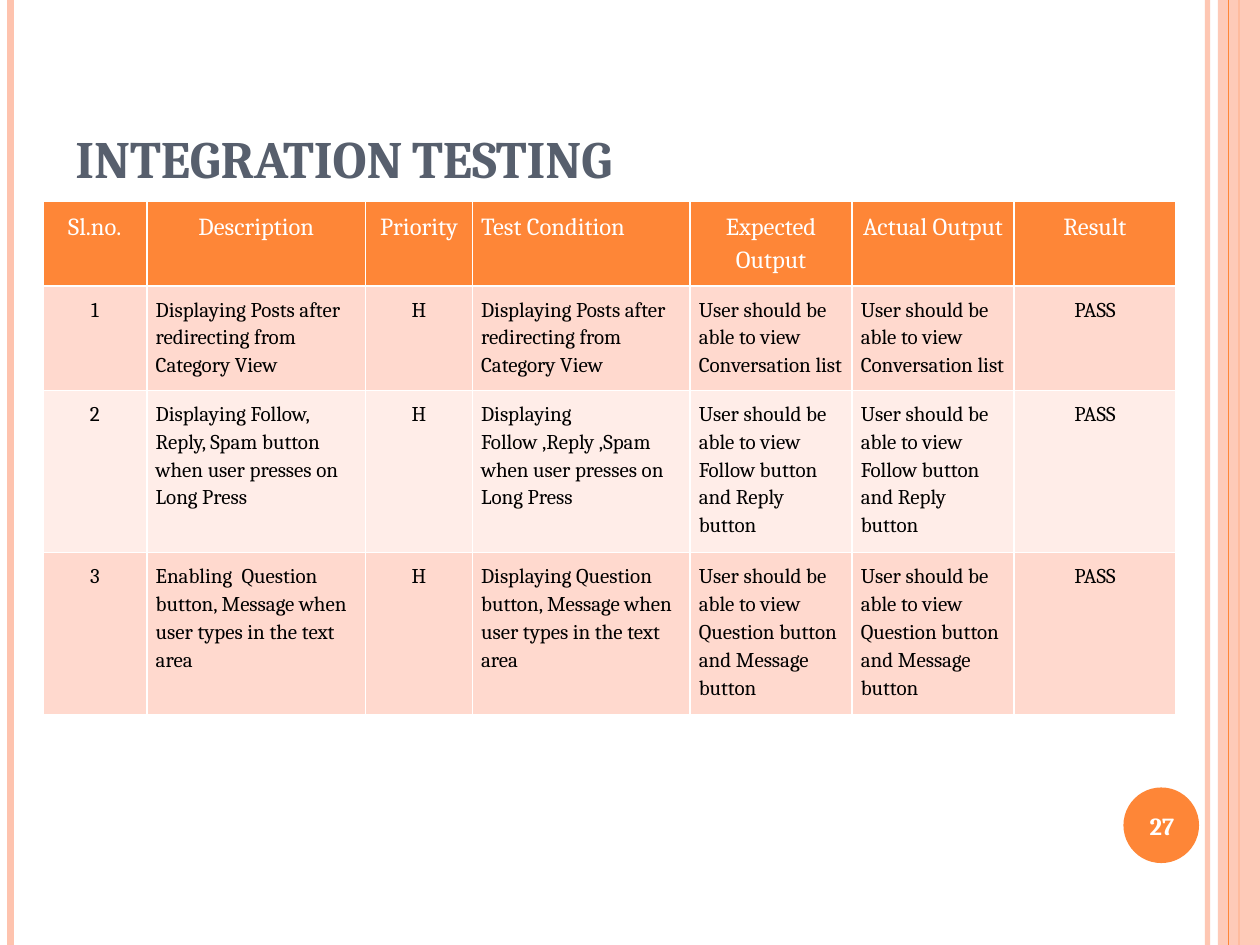
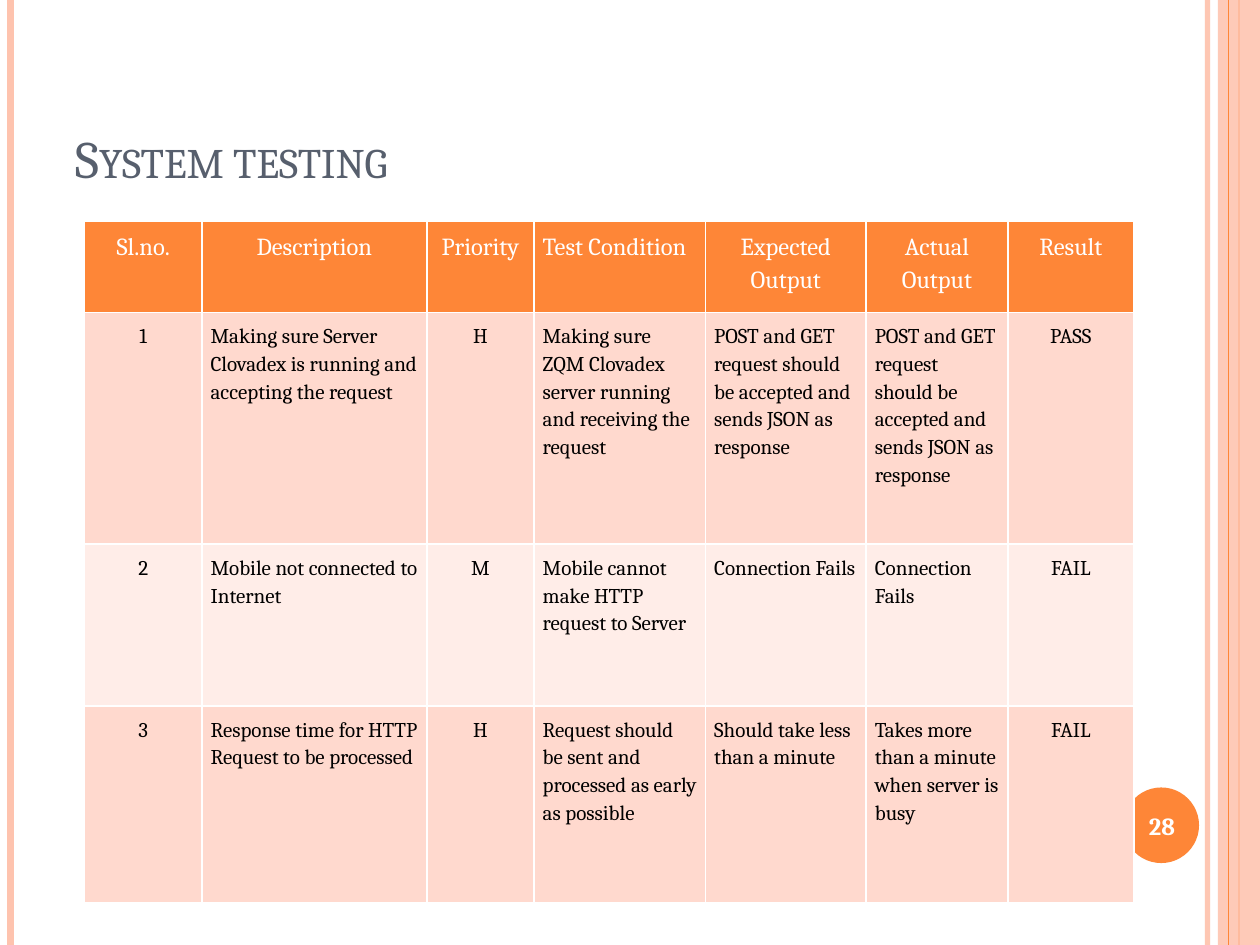
from lxml import etree
from pptx import Presentation
from pptx.dml.color import RGBColor
from pptx.enum import shapes, text
from pptx.oxml import ns
from pptx.util import Pt

FONT = "Cambria"
WHITE = RGBColor(0xFF, 0xFF, 0xFF)
BLACK = RGBColor(0x00, 0x00, 0x00)
SLATE = RGBColor(0x57, 0x5F, 0x6D)
ORANGE = RGBColor(0xFE, 0x86, 0x37)
PEACH = RGBColor(0xFE, 0xC3, 0xAE)
BANDS = (RGBColor(0xFF, 0xD9, 0xCE), RGBColor(0xFF, 0xED, 0xE8))

WIDTH, HEIGHT = 720, 540
LEFT, CENTER = text.PP_ALIGN.LEFT, text.PP_ALIGN.CENTER
TOP, MIDDLE, BOTTOM = (text.MSO_ANCHOR.TOP, text.MSO_ANCHOR.MIDDLE,
                       text.MSO_ANCHOR.BOTTOM)

HEADERS = ("Sl.no.", "Description", "Priority", "Test Condition",
           "Expected Output", "Actual Output", "Result")
CENTERED_HEADERS = (0, 1, 2, 4, 5, 6)
CENTERED_COLUMNS = (0, 2, 6)

VIEW = "User should be able to view "
POSTS = "Displaying Posts after redirecting from Category View"
JSON_REPLY = "POST and GET request should be accepted and sends JSON as response"

SLIDES = [
    dict(
        title="INTEGRATION TESTING", bold=True, number="27",
        left=24.5, top=114.75,
        widths=(59.5, 125, 61, 124.4, 92.6, 92.6, 92.4),
        heights=(46.8, 57.3, 89.4, 89),
        tests=[
            (POSTS, "H", POSTS,
             VIEW + "Conversation list", VIEW + "Conversation list", "PASS"),
            ("Displaying Follow, Reply, Spam button when user presses on Long Press",
             "H", "Displaying Follow ,Reply ,Spam when user presses on Long Press",
             VIEW + "Follow button and Reply button",
             VIEW + "Follow button and Reply button", "PASS"),
            ("Enabling  Question button, Message when user types in the text area",
             "H", "Displaying Question button, Message when user types in the text area",
             VIEW + "Question button and Message button",
             VIEW + "Question button and Message button", "PASS"),
        ]),
    dict(
        title="System testing", bold=False, number="28",
        left=48.4, top=126.25,
        widths=(67, 128.6, 61.2, 98, 91.8, 81, 72),
        heights=(52.2, 132.5, 92.4, 112.3),
        tests=[
            ("Making sure Server Clovadex is running and accepting the request",
             "H", "Making sure ZQM Clovadex server running and receiving the request",
             JSON_REPLY, JSON_REPLY, "PASS"),
            ("Mobile not connected to Internet", "M",
             "Mobile cannot make HTTP request to Server",
             "Connection Fails", "Connection Fails", "FAIL"),
            ("Response time for HTTP Request to be processed", "H",
             "Request should be sent and processed as early as possible",
             "Should take less than a minute",
             "Takes more than a minute when server is busy", "FAIL"),
        ]),
]

# x, colour, line width, opacity in percent
RULES_BELOW = [(690, PEACH, 3, 93), (6, PEACH, 4.5, 100), (708, ORANGE, 1.5, 100)]
RULES_ABOVE = [(702, ORANGE, 0.75, 100)]


def write(tf, content, size=12, color=BLACK, bold=False, align=LEFT,
          anchor=TOP, spacing=None, after=0, small_caps=False):
    tf.word_wrap = True
    tf.vertical_anchor = anchor
    p = tf.paragraphs[0]
    p.alignment = align
    p.space_after = Pt(after)
    if spacing:
        p.line_spacing = spacing
    r = p.add_run()
    r.text = content
    r.font.name, r.font.size, r.font.bold = FONT, Pt(size), bold
    r.font.color.rgb = color
    if small_caps:
        r.font._element.set("cap", "small")


def set_opacity(sp, percent):
    for color in sp._element.spPr.iter(ns.qn("a:srgbClr")):
        etree.SubElement(color, ns.qn("a:alpha"), val=str(percent * 1000))


def add_rules(s, rules):
    for x, color, width, opacity in rules:
        line = s.shapes.add_connector(shapes.MSO_CONNECTOR.STRAIGHT,
                                      Pt(x), Pt(0), Pt(x), Pt(HEIGHT))
        line.line.color.rgb = color
        line.line.width = Pt(width)
        if opacity < 100:
            set_opacity(line, opacity)
        etree.SubElement(line._element.spPr, ns.qn("a:effectLst"))


def add_solid(s, kind, box, color):
    sp = s.shapes.add_shape(kind, *map(Pt, box))
    sp.shadow.inherit = False
    sp.fill.solid()
    sp.fill.fore_color.rgb = color
    sp.line.fill.background()
    return sp


def add_text(s, box, content, **style):
    write(s.shapes.add_textbox(*map(Pt, box)).text_frame, content, **style)


def add_frame(s):
    """Draw the side bands and the disc behind the slide number."""
    add_rules(s, RULES_BELOW)
    band = add_solid(s, shapes.MSO_SHAPE.RECTANGLE, (696, 0, 24, HEIGHT), PEACH)
    set_opacity(band, 87)
    add_rules(s, RULES_ABOVE)
    add_solid(s, shapes.MSO_SHAPE.OVAL, (642, 450, 43.2, 43.2), ORANGE)


def add_borders(cell):
    tc_pr = cell._tc.get_or_add_tcPr()
    for i, side in enumerate(("a:lnL", "a:lnR", "a:lnT", "a:lnB")):
        ln = etree.Element(ns.qn(side), w=str(Pt(1)))
        fill = etree.SubElement(ln, ns.qn("a:solidFill"))
        etree.SubElement(fill, ns.qn("a:srgbClr"), val=str(WHITE))
        tc_pr.insert(i, ln)


def add_test_table(s, left, top, widths, heights, tests):
    rows = [HEADERS] + [(str(n), *test) for n, test in enumerate(tests, 1)]
    table = s.shapes.add_table(len(rows), len(HEADERS), Pt(left), Pt(top),
                               Pt(sum(widths)), Pt(sum(heights))).table
    table.first_row = table.horz_banding = False
    for column, width in zip(table.columns, widths):
        column.width = Pt(width)
    for i, (row, height) in enumerate(zip(rows, heights)):
        table.rows[i].height = Pt(height)
        if i == 0:
            fill, centered = ORANGE, CENTERED_HEADERS
            style = dict(size=14, color=WHITE, after=6)
        else:
            fill, centered = BANDS[(i - 1) % 2], CENTERED_COLUMNS
            style = dict(size=12, color=BLACK)
        for j, content in enumerate(row):
            cell = table.cell(i, j)
            cell.margin_left = cell.margin_right = Pt(5)
            cell.margin_top = cell.margin_bottom = Pt(5)
            cell.fill.solid()
            cell.fill.fore_color.rgb = fill
            add_borders(cell)
            write(cell.text_frame, content, spacing=1.15,
                  align=CENTER if j in centered else LEFT, **style)


def main():
    prs = Presentation()
    prs.slide_width, prs.slide_height = Pt(WIDTH), Pt(HEIGHT)
    for page in SLIDES:
        s = prs.slides.add_slide(prs.slide_layouts[6])
        add_frame(s)
        add_text(s, (36, 21.6, 588, 90), page["title"], size=30, color=SLATE,
                 bold=page["bold"], anchor=BOTTOM, small_caps=True)
        add_test_table(s, page["left"], page["top"], page["widths"],
                       page["heights"], page["tests"])
        add_text(s, (640, 451.4, 48, 41), page["number"], size=14, color=WHITE,
                 bold=True, align=CENTER, anchor=MIDDLE)
    prs.save("out.pptx")


if __name__ == "__main__":
    main()
